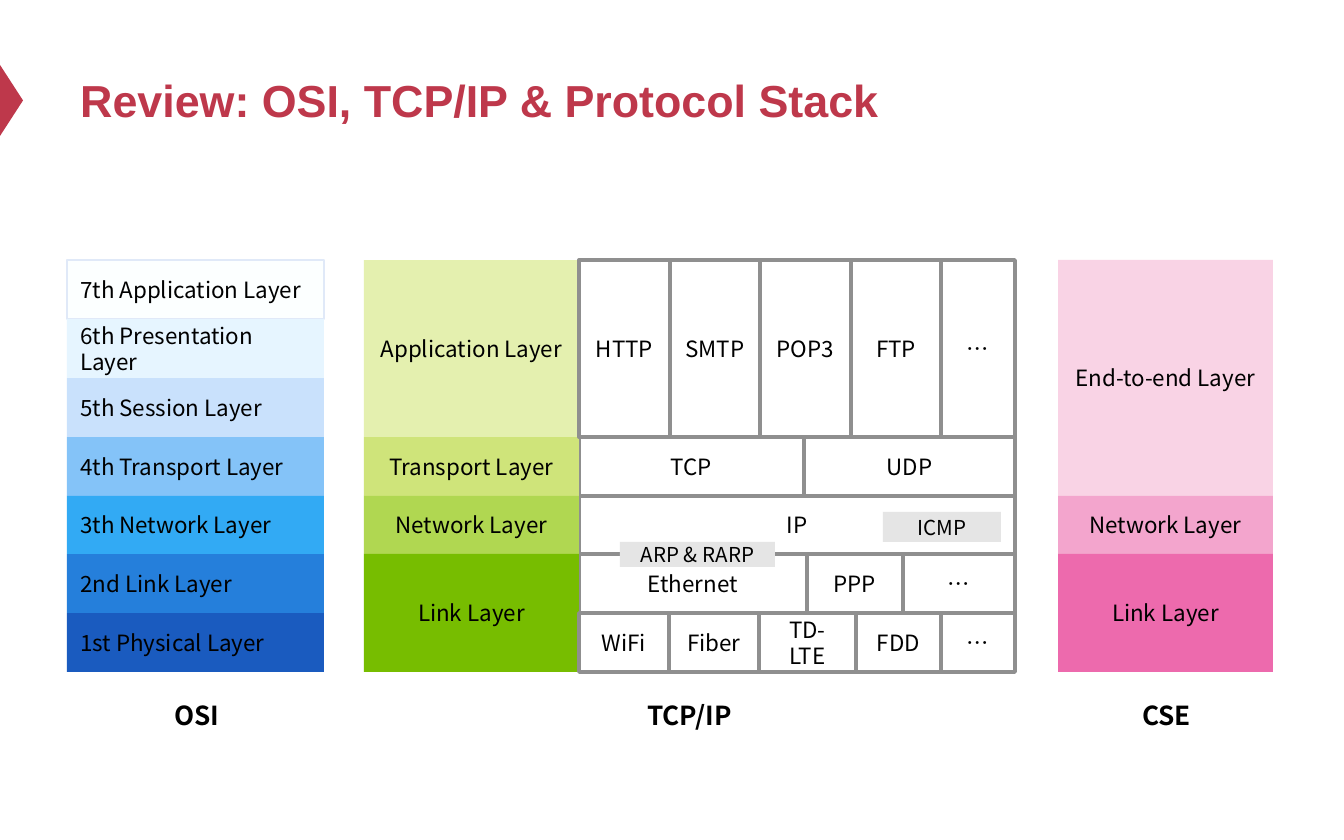
from lxml import etree
from pptx import Presentation
from pptx.dml.color import RGBColor
from pptx.enum.shapes import MSO_SHAPE as SHAPE
from pptx.enum.text import MSO_ANCHOR as ANCHOR, PP_ALIGN as ALIGN
from pptx.oxml.ns import qn
from pptx.util import Pt

PX = 914400 / 134.4
BODY_FONT = "Noto Sans CJK SC"
COLORS = {
    "title": "BE384B", "text": "000000", "protocol": "FFFFFF",
    "border": "8F8F8F", "helper": "E5E5E5", "osi_border": "E0E9F8",
    "osi7": "FCFFFF", "osi6": "E6F5FF", "osi5": "C9E1FC", "osi4": "84C3F8",
    "osi3": "32AAF4", "osi2": "257FDB", "osi1": "1A5BBF",
    "tcp_app": "E4F0AF", "tcp_transport": "CFE47A",
    "tcp_network": "B0D751", "tcp_link": "77BD00",
    "cse_end": "F9D3E5", "cse_network": "F3A5CD", "cse_link": "ED6AAD",
}
# Edges of the seven OSI rows, from top to bottom
ROWS = [260, 319, 378, 437, 496, 554, 613, 672]


def write(shape, text, size, color="text", font=BODY_FONT, bold=False, align=ALIGN.CENTER):
    frame = shape.text_frame
    frame.word_wrap = True
    frame.text = text
    paragraph = frame.paragraphs[0]
    paragraph.alignment = align
    run = paragraph.runs[0]
    run.font.name = font
    run.font.size = Pt(size)
    run.font.bold = bold
    run.font.color.rgb = RGBColor.from_string(COLORS[color])
    # East Asian typeface, which also sets the ellipsis at mid-height
    etree.SubElement(run.font._element, qn("a:ea"), typeface=font)


def add_box(left, top, right, bottom, text, fill, border=None, line_width=2, size=12,
            align=ALIGN.CENTER):
    """Draw a filled rectangle between its edges, in px."""
    box = slide.shapes.add_shape(
        SHAPE.RECTANGLE, *[round(v * PX) for v in (left, top, right - left, bottom - top)])
    box.shadow.inherit = False
    box.fill.solid()
    box.fill.fore_color.rgb = RGBColor.from_string(COLORS[fill])
    if border:
        box.line.color.rgb = RGBColor.from_string(COLORS[border])
        box.line.width = Pt(line_width)
    else:
        box.line.fill.background()
    box.text_frame.vertical_anchor = ANCHOR.MIDDLE
    write(box, text, size, align=align)


prs = Presentation()
prs.slide_width = round(1344 * PX)
prs.slide_height = round(840 * PX)
slide = prs.slides.add_slide(prs.slide_layouts[6])

# Title and its marker at the left edge
marker = slide.shapes.add_shape(
    SHAPE.ISOSCELES_TRIANGLE, *[round(v * PX) for v in (-24, 89, 71, 23)])
marker.rotation = 90
marker.shadow.inherit = False
marker.fill.solid()
marker.fill.fore_color.rgb = RGBColor.from_string(COLORS["title"])
marker.line.fill.background()

title = slide.shapes.add_textbox(*[round(v * PX) for v in (67, 34, 1210, 132)])
title.text_frame.vertical_anchor = ANCHOR.MIDDLE
write(title, "Review: OSI, TCP/IP & Protocol Stack", 24, "title", "Arial", True, ALIGN.LEFT)

# OSI layers
osi_layers = ["7th Application Layer", "6th Presentation Layer", "5th Session Layer",
              "4th Transport Layer", "3th Network Layer", "2nd Link Layer",
              "1st Physical Layer"]
for row, layer in enumerate(osi_layers):
    add_box(67, ROWS[row], 324, ROWS[row + 1], layer, f"osi{7 - row}",
            border="osi_border" if row == 0 else None, line_width=0.75, align=ALIGN.LEFT)

# Protocols: first row, last row, column edges, names
inner_protocols = [
    (3, 4, [579, 804, 1015], ["TCP", "UDP"]),
    (5, 6, [579, 807, 903, 1015], ["Ethernet", "PPP", "…"]),
    (4, 5, [579, 1015], ["IP"]),
]
outer_protocols = [
    (0, 3, [579, 670, 760, 851, 941, 1015], ["HTTP", "SMTP", "POP3", "FTP", "…"]),
    (6, 7, [579, 669, 759, 856, 941, 1015], ["WiFi", "Fiber", "TD-LTE", "FDD", "…"]),
]
# Layers of the TCP/IP and CSE stacks: left, first row, last row, name, fill
stack_layers = [
    (364, 0, 3, "Application Layer", "tcp_app"),
    (364, 3, 4, "Transport Layer", "tcp_transport"),
    (364, 4, 5, "Network Layer", "tcp_network"),
    (364, 5, 7, "Link Layer", "tcp_link"),
    (1058, 0, 4, "End-to-end Layer", "cse_end"),
    (1058, 4, 5, "Network Layer", "cse_network"),
    (1058, 5, 7, "Link Layer", "cse_link"),
]
# The layers cover the left border of the inner protocols, not of the outer ones
for protocols in (inner_protocols, outer_protocols):
    for first, last, edges, names in protocols:
        for left, right, name in zip(edges, edges[1:], names):
            add_box(left, ROWS[first], right, ROWS[last], name, "protocol", "border")
    if protocols is inner_protocols:
        for left, first, last, layer, fill in stack_layers:
            add_box(left, ROWS[first], left + 215, ROWS[last], layer, fill)

# Helper protocols on top of the stack
add_box(883, 512, 1001, 542, "ICMP", "helper", size=11)
add_box(620, 542, 775, 567, "ARP & RARP", "helper", size=11)

# Names of the three models
for left, width, model in [(68, 258, "OSI"), (363, 653, "TCP/IP"), (1058, 217, "CSE")]:
    caption = slide.shapes.add_textbox(*[round(v * PX) for v in (left, 693, width, 46)])
    write(caption, model, 14, bold=True)

prs.save("out.pptx")
